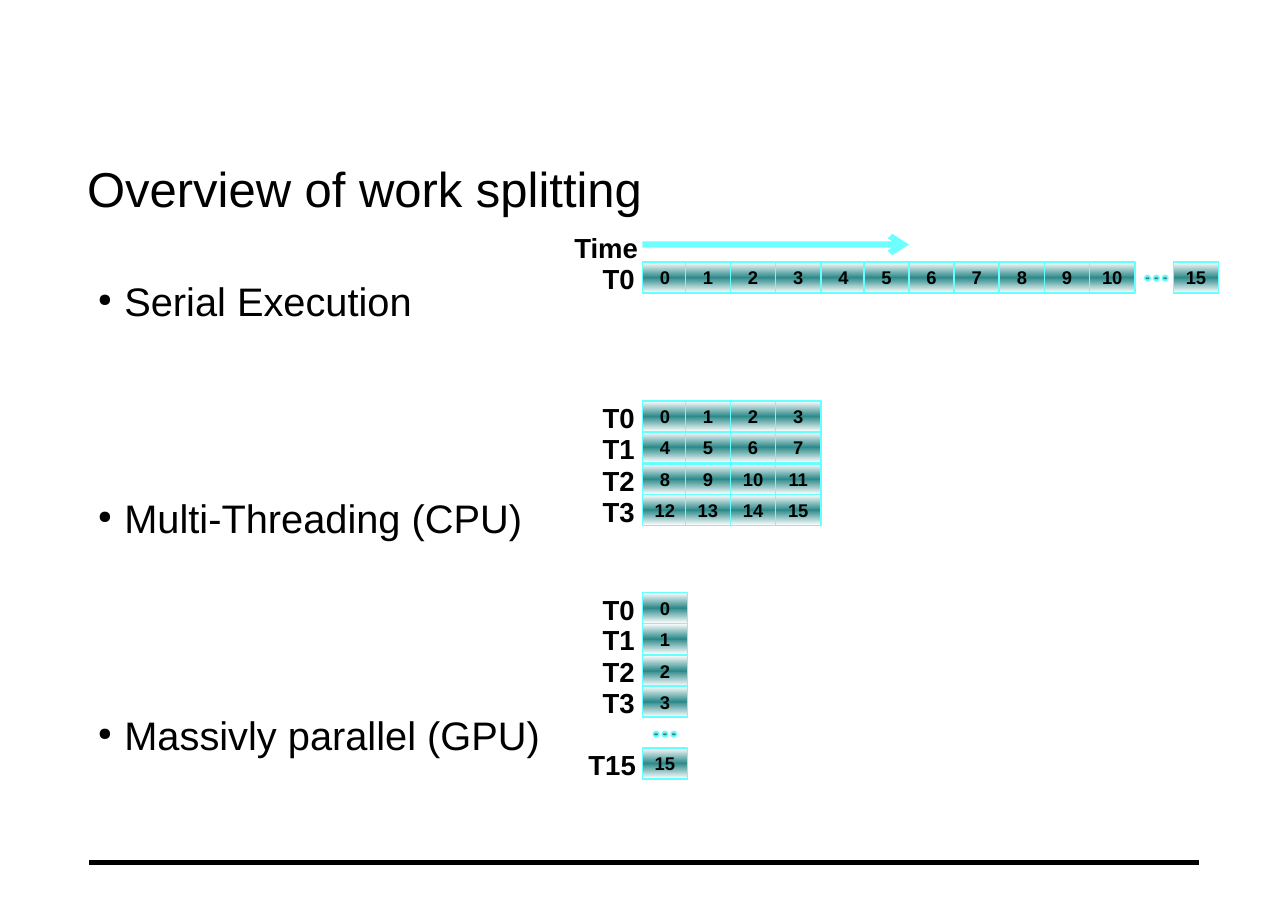
"""Build the work splitting slide: serial, multi-threaded and massively parallel."""
from copy import deepcopy
from dataclasses import dataclass
from typing import Any

from pptx import Presentation, oxml, util as u
from pptx.dml.color import RGBColor
from pptx.enum import shapes, text
from pptx.oxml import ns

PX = 9144
FONT = "Arial"
COLORS = {"ink": "000000", "edge": "66FFFF", "core": "2E8A8A", "light": "FFFFFF"}
GRID_LEFT, COLUMN_PITCH, ROW_PITCH = 583, 41, 28.4
CELL_WIDTH, CELL_HEIGHT = 41, 28
TIGHT_COLUMNS, TIGHTENING = (1, 5), 2
DOT_SIZE, DOT_PITCH = 5, 8
BULLETS = ("Serial Execution", "Multi-Threading (CPU)", "Massivly parallel (GPU)")
BULLET_FORMAT = {"line_spacing": 1.5}
BULLET_GAP = u.Pt(95)


@dataclass(frozen=True)
class Box:
    left: int
    top: int
    width: int
    height: int

    def emu(self) -> list[int]:
        return [value * PX for value in (self.left, self.top, self.width, self.height)]


@dataclass(frozen=True)
class Block:
    top: int
    rows: int
    columns: int


BLOCKS = (Block(238, 1, 11), Block(364, 4, 4), Block(538, 4, 1))
LAST_SERIAL = Box(1065, 238, CELL_WIDTH, CELL_HEIGHT)
LAST_PARALLEL = Box(GRID_LEFT, 679, CELL_WIDTH, CELL_HEIGHT)
DOT_ROWS = ((1039, 250), (593, 664))


def apply(target: Any, values: dict[str, Any]) -> None:
    """Set every named attribute of the target."""
    for name, value in values.items():
        setattr(target, name, value)


def color(name: str) -> RGBColor:
    """Look a colour up by its role."""
    return RGBColor.from_string(COLORS[name])


def write(paragraph: Any, words: str, size: int, bold: bool = False) -> None:
    """Put one formatted run into a paragraph."""
    run = paragraph.add_run()
    run.text = words
    apply(run.font, {"name": FONT, "size": u.Pt(size), "bold": bold})
    run.font.color.rgb = color("ink")


def add_text_box(slide: Any, box: Box, margins: tuple[int, int], values: dict[str, Any]) -> Any:
    """Add a text box with side and top margins and return its frame."""
    frame = slide.shapes.add_textbox(*box.emu()).text_frame
    side, top = (margin * PX for margin in margins)
    apply(frame, {"margin_left": side, "margin_right": side, "margin_top": top, **values})
    return frame


def add_label(slide: Any, words: str, box: Box) -> None:
    """Add a bold right-aligned label."""
    frame = add_text_box(slide, box, (10, 5), {"word_wrap": False})
    paragraph = frame.paragraphs[0]
    paragraph.alignment = text.PP_ALIGN.RIGHT
    write(paragraph, words, 18, True)


def add_metal_shape(container: Any, kind: Any, box: Box) -> Any:
    """Add a shape shaded from light to dark and back, with a bright edge."""
    shape = container.add_shape(kind, *box.emu())
    shape.shadow.inherit = False
    shape.fill.gradient()
    shape.fill.gradient_angle = 270
    for stop, name, position in zip(shape.fill.gradient_stops, ("light", "core"), (0, 0.5)):
        stop.color.rgb = color(name)
        stop.position = position
    stop_list = next(shape.element.iter(ns.qn("a:gsLst")))
    final_stop = deepcopy(stop_list[0])
    final_stop.set("pos", "100000")
    stop_list.append(final_stop)
    shape.line.color.rgb = color("edge")
    shape.line.width = u.Pt(1)
    return shape


def add_cell(slide: Any, number: int, box: Box) -> None:
    """Add one numbered work item."""
    shape = add_metal_shape(slide.shapes, shapes.MSO_SHAPE.RECTANGLE, box)
    frame = shape.text_frame
    apply(frame, {"vertical_anchor": text.MSO_ANCHOR.MIDDLE, "word_wrap": False})
    frame.paragraphs[0].alignment = text.PP_ALIGN.CENTER
    write(frame.paragraphs[0], str(number), 12, True)


def add_block(slide: Any, block: Block) -> None:
    """Add a labelled grid of work items, one row per thread."""
    for row in range(block.rows):
        top = block.top + round(row * ROW_PITCH)
        for column in range(block.columns):
            tight = sum(column >= limit for limit in TIGHT_COLUMNS)
            left = GRID_LEFT + column * COLUMN_PITCH - tight * TIGHTENING
            add_cell(slide, row * block.columns + column, Box(left, top, CELL_WIDTH, CELL_HEIGHT))
        add_label(slide, f"T{row}", Box(537, top - 5, 49, 40))


def add_dots(slide: Any, left: int, top: int) -> None:
    """Add a grouped ellipsis of three dots."""
    group = slide.shapes.add_group_shape()
    for index in range(3):
        box = Box(left + index * DOT_PITCH, top, DOT_SIZE, DOT_SIZE)
        add_metal_shape(group.shapes, shapes.MSO_SHAPE.OVAL, box)


def add_line(slide: Any, left: int, right: int, y: int, name: str, width: int) -> Any:
    """Add a horizontal line and return its line element."""
    ends = [value * PX for value in (left, y, right, y)]
    connector = slide.shapes.add_connector(shapes.MSO_CONNECTOR.STRAIGHT, *ends)
    connector.line.color.rgb = color(name)
    connector.line.width = u.Pt(width)
    properties = connector.element.spPr
    oxml.xmlchemy.OxmlElement("a:effectLst")
    properties.append(oxml.xmlchemy.OxmlElement("a:effectLst"))
    return properties.find(ns.qn("a:ln"))


def add_child(parent: Any, tag: str, **attributes: str) -> None:
    """Append an XML element with attributes."""
    child = oxml.xmlchemy.OxmlElement(tag)
    for name, value in attributes.items():
        child.set(name, value)
    parent.append(child)


def add_bullets(slide: Any) -> None:
    """Add the three spaced bullet points."""
    frame = add_text_box(slide, Box(79, 222, 1008, 542), (10, 8), {"word_wrap": True})
    for index, words in enumerate(BULLETS):
        paragraph = frame.add_paragraph() if index else frame.paragraphs[0]
        properties = paragraph._p.get_or_add_pPr()
        properties.set("marL", str(24 * PX))
        properties.set("indent", str(-24 * PX))
        add_child(properties, "a:buClr")
        add_child(properties[0], "a:srgbClr", val=COLORS["ink"])
        add_child(properties, "a:buSzPct", val="45000")
        add_child(properties, "a:buChar", char="●")
        apply(paragraph, BULLET_FORMAT)
        if index:
            paragraph.space_before = BULLET_GAP
        write(paragraph, words, 26)


def main() -> None:
    """Build and save the presentation."""
    presentation = Presentation()
    apply(presentation, {"slide_width": 1169 * PX, "slide_height": 827 * PX})
    slide = presentation.slides.add_slide(presentation.slide_layouts[6])
    add_line(slide, 81, 1088, 783, "ink", 3)
    title_format = {"margin_bottom": 0, "word_wrap": True, "vertical_anchor": text.MSO_ANCHOR.BOTTOM}
    title = add_text_box(slide, Box(79, 142, 992, 55), (0, 0), title_format)
    write(title.paragraphs[0], "Overview of work splitting", 32)
    add_bullets(slide)
    for block in BLOCKS:
        add_block(slide, block)
    for box in (LAST_SERIAL, LAST_PARALLEL):
        add_cell(slide, 15, box)
    for left, top in DOT_ROWS:
        add_dots(slide, left, top)
    add_label(slide, "Time", Box(511, 205, 78, 40))
    add_label(slide, "T15", Box(524, 674, 63, 40))
    arrow = add_line(slide, GRID_LEFT, 825, 222, "edge", 4)
    add_child(next(arrow.iter(ns.qn("a:srgbClr"))), "a:alpha", val="95000")
    add_child(arrow, "a:tailEnd", type="arrow")
    presentation.save("out.pptx")


if __name__ == "__main__":
    main()
